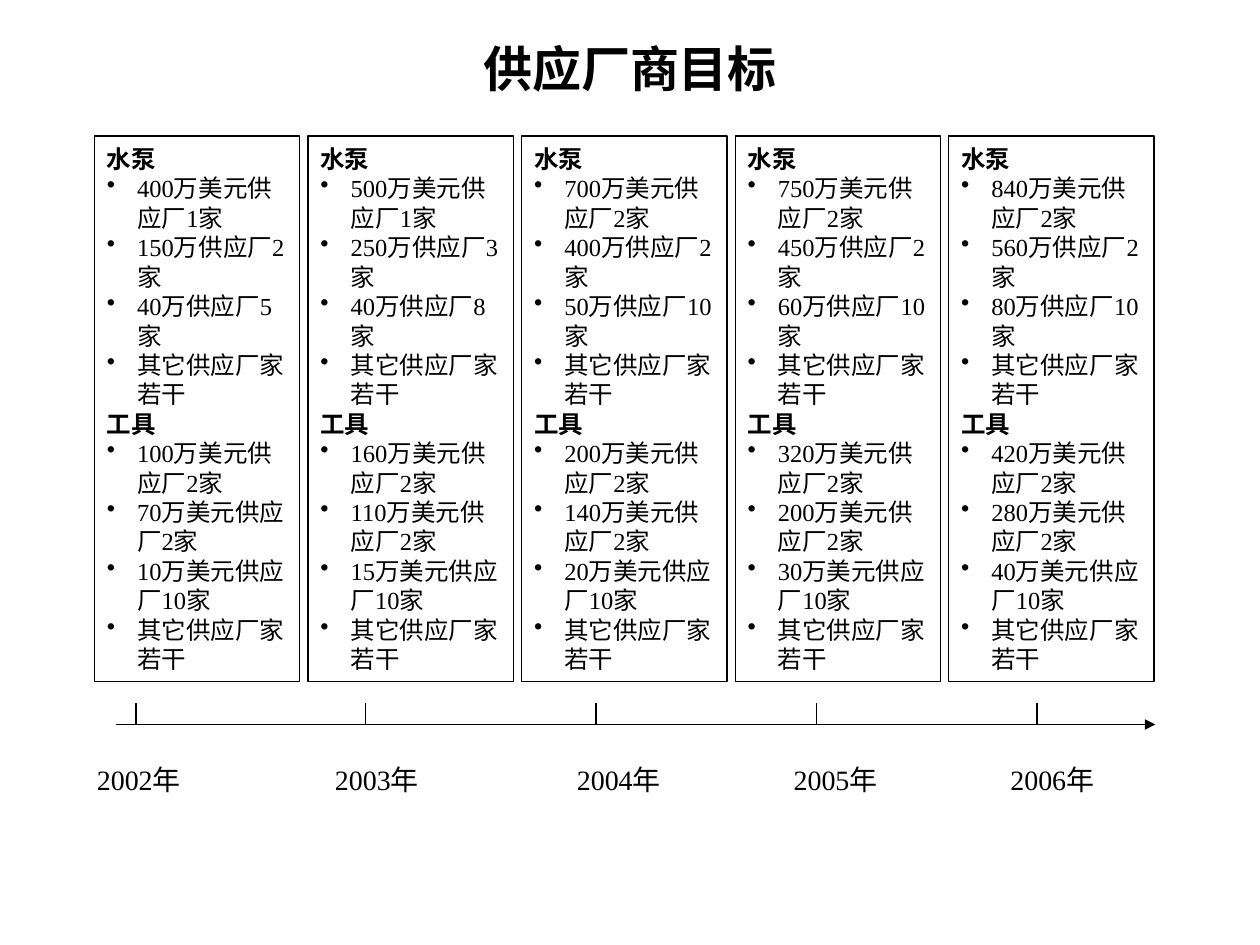
from lxml.etree import SubElement
from pptx import Presentation
from pptx.dml.color import RGBColor
from pptx.enum.shapes import MSO_CONNECTOR as Connector, MSO_SHAPE as Shape
from pptx.enum.text import MSO_ANCHOR as Anchor, MSO_AUTO_SIZE as AutoSize, PP_ALIGN as Align
from pptx.oxml.ns import qn
from pptx.util import Inches, Pt

INK, PAPER = "000000", "FFFFFF"
TITLE = {"size": Pt(28), "bold": True}
HEADING = {"size": Pt(14), "bold": True}
ITEM = {"size": Pt(14), "bold": False}
YEAR = {"size": Pt(16)}

OTHERS = "其它供应厂家若干"
# year, tick position, label position, pump suppliers, tool suppliers
GOALS = [
    ("2002年", 1.08, 0.67,
     ["400万美元供应厂1家", "150万供应厂2家", "40万供应厂5家"],
     ["100万美元供应厂2家", "70万美元供应厂2家", "10万美元供应厂10家"]),
    ("2003年", 2.9, 2.56,
     ["500万美元供应厂1家", "250万供应厂3家", "40万供应厂8家"],
     ["160万美元供应厂2家", "110万美元供应厂2家", "15万美元供应厂10家"]),
    ("2004年", 4.73, 4.48,
     ["700万美元供应厂2家", "400万供应厂2家", "50万供应厂10家"],
     ["200万美元供应厂2家", "140万美元供应厂2家", "20万美元供应厂10家"]),
    ("2005年", 6.48, 6.2,
     ["750万美元供应厂2家", "450万供应厂2家", "60万供应厂10家"],
     ["320万美元供应厂2家", "200万美元供应厂2家", "30万美元供应厂10家"]),
    ("2006年", 8.23, 7.92,
     ["840万美元供应厂2家", "560万供应厂2家", "80万供应厂10家"],
     ["420万美元供应厂2家", "280万美元供应厂2家", "40万美元供应厂10家"]),
]


def color(value):
    return RGBColor.from_string(value)


def write(para, text, style, align=Align.LEFT):
    para.alignment = align
    span = para.add_run()
    span.text = text
    for name, value in style.items():
        setattr(span.font, name, value)
    span.font.name = "Times New Roman"
    span.font.color.rgb = color(INK)


def add_bullet(para):
    properties = para._p.get_or_add_pPr()
    properties.set("marL", str(Inches(0.24)))
    properties.set("indent", str(-Inches(0.24)))
    bullet_color = SubElement(properties, qn("a:buClr"))
    SubElement(bullet_color, qn("a:srgbClr")).set("val", INK)
    SubElement(properties, qn("a:buChar")).set("char", "•")


def add_line(page, x1, y1, x2, y2, arrow=False):
    line = page.shapes.add_connector(
        Connector.STRAIGHT, Inches(x1), Inches(y1), Inches(x2), Inches(y2))
    line.line.color.rgb = color(INK)
    line.line.width = Pt(0.75)
    if arrow:
        SubElement(line.line._get_or_add_ln(), qn("a:tailEnd")).set("type", "triangle")
    SubElement(line._element.spPr, qn("a:effectLst"))


def set_title(page, left, top, width, height):
    title = page.shapes.title
    title.left, title.top = Inches(left), Inches(top)
    title.width, title.height = Inches(width), Inches(height)
    frame = title.text_frame
    frame.auto_size = AutoSize.NONE
    frame.vertical_anchor = Anchor.MIDDLE
    write(frame.paragraphs[0], "供应厂商目标", TITLE, Align.CENTER)


def add_goal_box(group, left, top, width, height, pumps, tools):
    box = group.shapes.add_shape(
        Shape.RECTANGLE, Inches(left), Inches(top), Inches(width), Inches(height))
    box.shadow.inherit = False
    box.fill.solid()
    box.fill.fore_color.rgb = color(PAPER)
    box.line.color.rgb = color(INK)
    box.line.width = Pt(0.75)
    frame = box.text_frame
    frame.word_wrap = True
    frame.vertical_anchor = Anchor.MIDDLE
    para = frame.paragraphs[0]
    for heading, items in (("水泵", pumps), ("工具", tools)):
        if para is None:
            para = frame.add_paragraph()
        write(para, heading, HEADING)
        for item in items + [OTHERS]:
            para = frame.add_paragraph()
            add_bullet(para)
            write(para, item, ITEM)
        para = None


def add_goal_boxes(page, left, top, width, height):
    """Spread one box per year evenly across the given area."""
    group = page.shapes.add_group_shape()
    box_width = 1.63
    pitch = (width - box_width) / (len(GOALS) - 1)
    for index, (_, _, _, pumps, tools) in enumerate(GOALS):
        add_goal_box(group, left + index * pitch, top, box_width, height, pumps, tools)


def add_timeline(page, left, top, width):
    axis = top + 0.17
    add_line(page, left, axis, left + width, axis, arrow=True)
    for year, tick, label_left, _, _ in GOALS:
        add_line(page, tick, top, tick, axis)
        label = page.shapes.add_textbox(
            Inches(label_left), Inches(top + 0.42), Inches(1.42), Inches(0.37))
        frame = label.text_frame
        frame.word_wrap = True
        frame.auto_size = AutoSize.SHAPE_TO_FIT_TEXT
        write(frame.paragraphs[0], year, YEAR)


def main():
    deck = Presentation()
    deck.slide_width, deck.slide_height = Inches(10), Inches(7.5)
    page = deck.slides.add_slide(deck.slide_layouts[5])
    set_title(page, 0.75, 0.33, 8.5, 0.42)
    add_timeline(page, 0.92, 5.58, 8.25)
    add_goal_boxes(page, 0.75, 1.08, 8.41, 4.33)
    deck.save("out.pptx")


if __name__ == "__main__":
    main()
